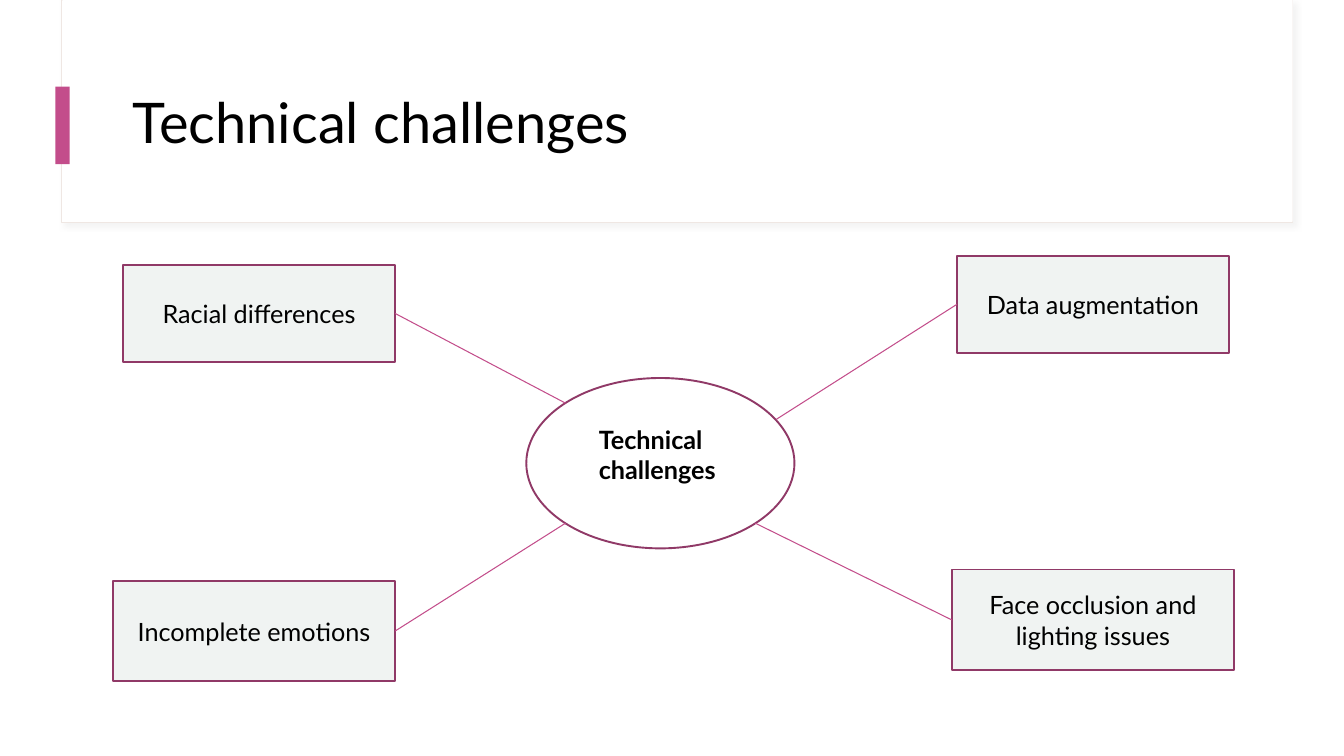
from lxml import etree
from pptx import Presentation
from pptx.dml.color import RGBColor
from pptx.enum.shapes import MSO_CONNECTOR, MSO_SHAPE
from pptx.enum.text import MSO_ANCHOR, PP_ALIGN
from pptx.oxml.ns import qn
from pptx.util import Inches, Pt

RECT, OVAL = MSO_SHAPE.RECTANGLE, MSO_SHAPE.OVAL
LINE = MSO_CONNECTOR.STRAIGHT
TOP, MIDDLE = MSO_ANCHOR.TOP, MSO_ANCHOR.MIDDLE
LEFT, CENTER = PP_ALIGN.LEFT, PP_ALIGN.CENTER
WHITE = RGBColor(0xFF, 0xFF, 0xFF)
BLACK = RGBColor(0, 0, 0)
PINK = RGBColor(0xC3, 0x4D, 0x8B)
PLUM = RGBColor(0x90, 0x39, 0x67)
GREY = RGBColor(0xF0, 0xF3, 0xF2)
SAND = RGBColor(0xEF, 0xE7, 0xE3)
MIST = RGBColor(0xD9, 0xD9, 0xD9)

TOPICS = [
    ("Data augmentation", (9.49, 2.54, 2.7, 0.96), (7.7, 4.16)),
    ("Face occlusion and lighting issues", (9.44, 5.65, 2.8, 1), (7.49, 5.19)),
    ("Incomplete emotions", (1.12, 5.76, 2.8, 1), (5.61, 5.19)),
    ("Racial differences", (1.22, 2.63, 2.7, 0.96), (5.61, 4)),
]


def write(frame, text, size=18, bold=False, align=LEFT, anchor=TOP, space=1.0):
    frame.word_wrap = True
    frame.vertical_anchor = anchor
    para = frame.paragraphs[0]
    para.alignment = align
    para.line_spacing = space
    run = para.add_run()
    run.text = text
    font = run.font
    font.name, font.size, font.bold = "Lato", Pt(size), bold
    font.color.rgb = BLACK


class Board:
    """Draws styled elements on one slide."""

    def __init__(self, slide):
        self.shapes = slide.shapes

    def shape(self, kind, box, fill, line=None, width=1.35):
        item = self.shapes.add_shape(kind, *map(Inches, box))
        item.shadow.inherit = False
        item.fill.solid()
        item.fill.fore_color.rgb = fill
        if line is None:
            item.line.fill.background()
        else:
            item.line.color.rgb = line
            item.line.width = Pt(width)
        return item

    def shade(self, item):
        effects = item._element.spPr.find(qn("a:effectLst"))
        outer = etree.SubElement(effects, qn("a:outerShdw"), blurRad=str(Pt(4)),
                                 dist=str(Pt(3)), dir="2700000", algn="tl")
        color = etree.SubElement(outer, qn("a:srgbClr"), val=str(MIST))
        etree.SubElement(color, qn("a:alpha"), val="30000")

    def label(self, box, text, **style):
        item = self.shapes.add_textbox(*map(Inches, box))
        write(item.text_frame, text, **style)

    def topic(self, text, box):
        item = self.shape(RECT, box, GREY, PLUM)
        write(item.text_frame, text, align=CENTER, anchor=MIDDLE)

    def link(self, start, end):
        item = self.shapes.add_connector(LINE, *map(Inches, start + end))
        item.line.color.rgb = PINK
        item.line.width = Pt(0.75)
        etree.SubElement(item._element.spPr, qn("a:effectLst"))


def main():
    deck = Presentation()
    deck.slide_width, deck.slide_height = Inches(13.33), Inches(7.5)
    board = Board(deck.slides.add_slide(deck.slide_layouts[6]))

    panel = board.shape(RECT, (0.61, 0, 12.21, 2.21), WHITE, SAND, 0.75)
    board.shade(panel)
    board.shape(RECT, (0.62, 0, 12.2, 2.2), WHITE)
    board.shape(RECT, (0.55, 0.86, 0.14, 0.77), PINK)
    board.label((1.22, 0.6, 11.12, 1.29), "Technical challenges",
                size=40, anchor=MIDDLE, space=0.9)

    board.shape(OVAL, (5.22, 3.75, 2.66, 1.69), WHITE, PLUM)
    board.label((5.84, 4.16, 1.65, 0.71), "Technical challenges", bold=True)

    for text, box, _ in TOPICS:
        board.topic(text, box)
    for _, (left, top, width, height), hub in TOPICS:
        edge = left if left > hub[0] else left + width
        board.link(hub, (edge, top + height / 2))

    deck.save("out.pptx")


if __name__ == "__main__":
    main()
